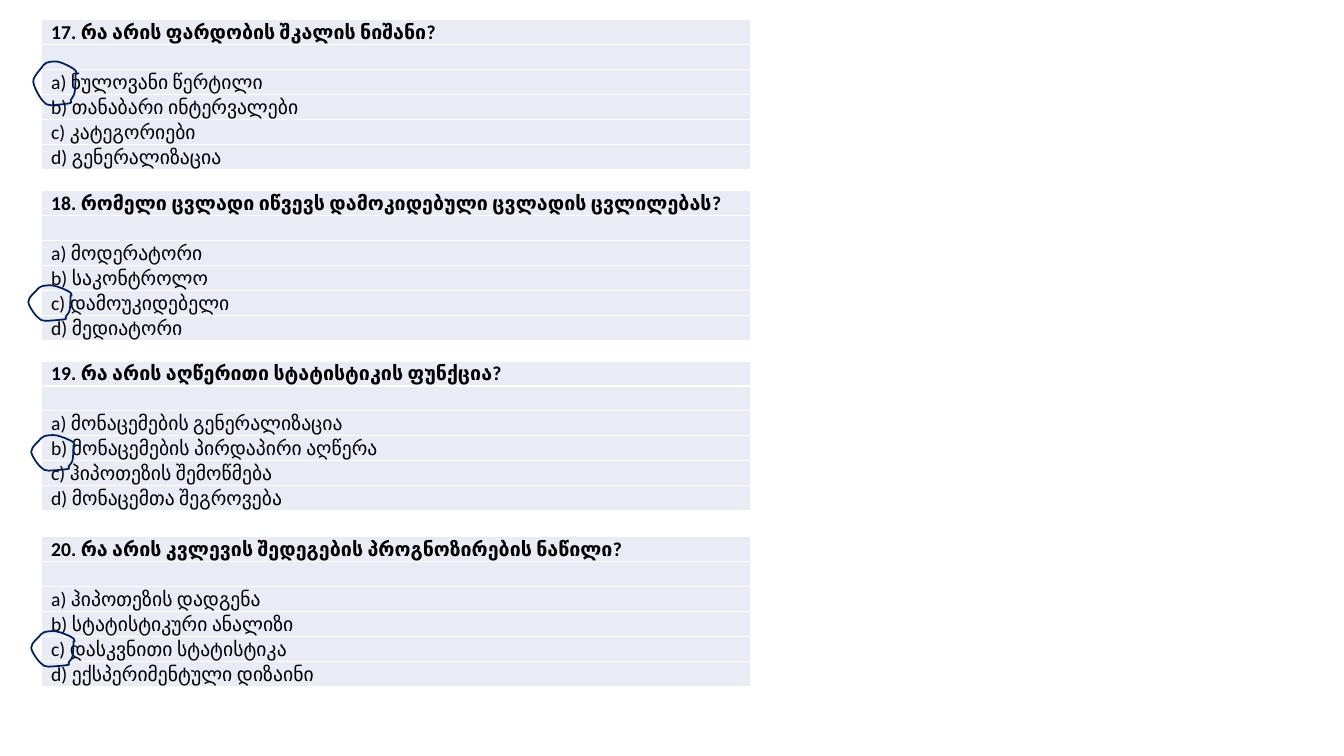
from lxml import etree
from pptx import Presentation
from pptx.dml.color import RGBColor
from pptx.enum.text import MSO_ANCHOR
from pptx.oxml.ns import qn
from pptx.util import Pt

# Content: table top, question and answers
QUESTIONS = [
    (14.1, "17. რა არის ფარდობის შკალის ნიშანი?",
     ["a) ნულოვანი წერტილი", "b) თანაბარი ინტერვალები",
      "c) კატეგორიები", "d) გენერალიზაცია"]),
    (136.2, "18. რომელი ცვლადი იწვევს დამოკიდებული ცვლადის ცვლილებას?",
     ["a) მოდერატორი", "b) საკონტროლო", "c) დამოუკიდებელი", "d) მედიატორი"]),
    (257.9, "19. რა არის აღწერითი სტატისტიკის ფუნქცია?",
     ["a) მონაცემების გენერალიზაცია", "b) მონაცემების პირდაპირი აღწერა",
      "c) ჰიპოთეზის შემოწმება", "d) მონაცემთა შეგროვება"]),
    (383.5, "20. რა არის კვლევის შედეგების პროგნოზირების ნაწილი?",
     ["a) ჰიპოთეზის დადგენა", "b) სტატისტიკური ანალიზი",
      "c) დასკვნითი სტატისტიკა", "d) ექსპერიმენტული დიზაინი"]),
]
# Hand-drawn rings round the right answers: left, top, height
RINGS = [(23.8, 44.2, 31), (20.2, 204, 25.2), (22.3, 311, 25.2), (22.3, 451, 25.2)]
RING_WIDTH = 31
# Ring outline on a square grid of 43 units; one segment is straight
RING_GRID = 43
RING_OUTLINE = [(43, 12), (40, 7), (25, 0), (13, 1), (8, 6), (4, 11), (0, 20),
                (6, 34), (13, 42), (17, 43), (36, 41), (37, 38), (41, 30), (42, 12)]
STRAIGHT_SEGMENT = 8
COLORS = {"cell": "E9EBF5", "border": "FFFFFF", "text": "000000", "ring": "002060"}
TABLE_LEFT, TABLE_WIDTH, TABLE_HEIGHT, ROW_HEIGHT = 29.8, 506.2, 105.1, 15.1


def rgb(name):
    return RGBColor.from_string(COLORS[name])


def add_borders(cell):
    tcPr = cell._tc.get_or_add_tcPr()
    for i, side in enumerate(("lnL", "lnR", "lnT", "lnB")):
        ln = etree.Element(qn("a:" + side), w=str(Pt(1)))
        fill = etree.SubElement(ln, qn("a:solidFill"))
        etree.SubElement(fill, qn("a:srgbClr"), val=COLORS["border"])
        tcPr.insert(i, ln)


def fill_cell(cell, text, bold):
    cell.fill.solid()
    cell.fill.fore_color.rgb = rgb("cell")
    add_borders(cell)
    cell.margin_left, cell.margin_right = Pt(6.75), Pt(0.75)
    cell.margin_top, cell.margin_bottom = Pt(0.75), Pt(0)
    cell.vertical_anchor = MSO_ANCHOR.MIDDLE
    p = cell.text_frame.paragraphs[0]
    if not text:
        etree.SubElement(p._p, qn("a:endParaRPr"), sz="1400")
        return
    p.text = text
    font = p.runs[0].font
    font.name, font.size, font.bold = "Calibri", Pt(14), bold
    font.color.rgb = rgb("text")


def add_question(s, top, question, answers):
    lines = [question, ""] + answers
    frame = s.shapes.add_table(len(lines), 1, Pt(TABLE_LEFT), Pt(top),
                               Pt(TABLE_WIDTH), Pt(TABLE_HEIGHT))
    table = frame.table
    table.first_row = table.horz_banding = False
    for i, line in enumerate(lines):
        table.rows[i].height = Pt(ROW_HEIGHT)
        fill_cell(table.cell(i, 0), line, i == 0)
    frame.height = Pt(TABLE_HEIGHT)


def round_corners(sp, points):
    """Turn the line segments into curves that run smoothly through the points."""
    n = len(points)
    for i, line in enumerate(list(sp._element.iter(qn("a:lnTo")))[:n - 1]):
        if i == STRAIGHT_SEGMENT:
            continue
        before, start, end, after = (points[(i + k) % n] for k in (-1, 0, 1, 2))
        controls = [[a + (b - c) / 6 for a, b, c in zip(start, end, before)],
                    [a - (b - c) / 6 for a, b, c in zip(end, after, start)], end]
        curve = etree.Element(qn("a:cubicBezTo"))
        for x, y in controls:
            etree.SubElement(curve, qn("a:pt"), x=str(round(x - sp.left)),
                             y=str(round(y - sp.top)))
        line.getparent().replace(line, curve)


def add_ring(s, left, top, height):
    points = [(Pt(left + x * RING_WIDTH / RING_GRID), Pt(top + y * height / RING_GRID))
              for x, y in RING_OUTLINE]
    builder = s.shapes.build_freeform(*points[0])
    builder.add_line_segments(points[1:], close=True)
    sp = builder.convert_to_shape()
    round_corners(sp, points)
    sp.shadow.inherit = False
    sp.fill.background()
    sp.line.color.rgb = rgb("ring")
    sp.line.width = Pt(1.25)


def main():
    prs = Presentation()
    prs.slide_width, prs.slide_height = Pt(960), Pt(540)
    s = prs.slides.add_slide(prs.slide_layouts[6])
    # Question tables
    for top, question, answers in QUESTIONS:
        add_question(s, top, question, answers)
    # Answer rings
    for left, top, height in RINGS:
        add_ring(s, left, top, height)
    prs.save("out.pptx")


if __name__ == "__main__":
    main()
